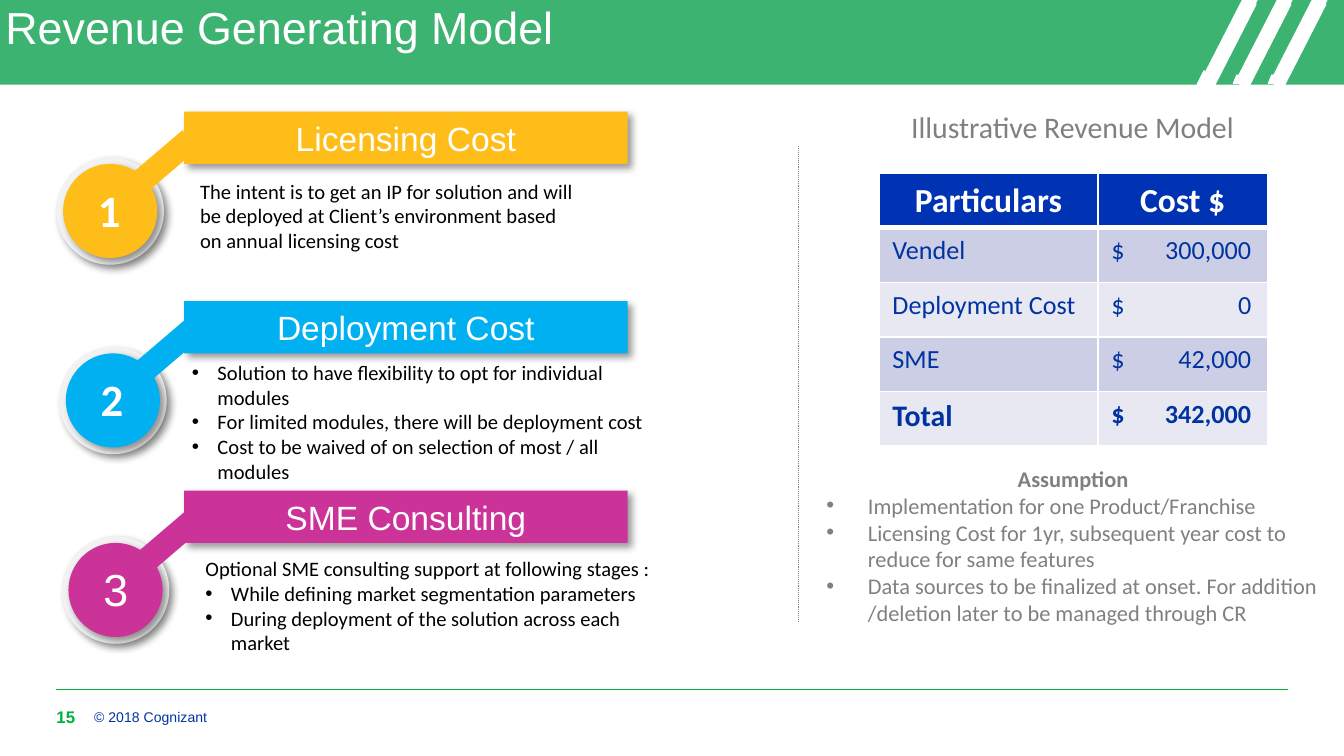
from lxml import etree
from pptx import Presentation
from pptx.dml.color import RGBColor
from pptx.enum.dml import MSO_LINE
from pptx.enum.shapes import MSO_CONNECTOR, MSO_SHAPE as SHAPE
from pptx.enum.text import MSO_ANCHOR as ANCHOR, PP_ALIGN as ALIGN
from pptx.oxml import parse_xml
from pptx.oxml.ns import nsdecls, qn
from pptx.util import Pt

PX = 9144  # 100 px to the inch
COLORS = {
    "white": "FFFFFF", "black": "000000", "grey": "808080", "ring": "F2F2F2",
    "header": "3CB371", "green": "00B140", "navy": "0033A0", "table": "0033B4",
    "band": "CCCEE5", "pale": "E7E8F2",
    "amber": "FFBD19", "sky": "00B0F0", "magenta": "CC3399",
}


def rgb(name):
    return RGBColor.from_string(COLORS[name])


def emu(*lengths):
    return [length * PX for length in lengths]


def style(paragraph, size, color, font="Calibri", bold=False, align=ALIGN.LEFT):
    paragraph.alignment = align
    for run in paragraph.runs:
        run.font.name, run.font.size, run.font.bold = font, Pt(size), bold
        run.font.color.rgb = rgb(color)


def add_bullet(paragraph, indent):
    props = paragraph._p.get_or_add_pPr()
    props.set("marL", str(indent * PX))
    props.set("indent", str(-indent * PX))
    etree.SubElement(props, qn("a:buFont")).set("typeface", "Arial")
    etree.SubElement(props, qn("a:buChar")).set("char", "•")


def add_block(slide, box, kind, color, line=None, turn=0, shadow=False):
    block = slide.shapes.add_shape(kind, *emu(*box))
    block.rotation = turn
    block.fill.solid()
    block.fill.fore_color.rgb = rgb(color)
    block.shadow.inherit = False
    if line:
        block.line.color.rgb, block.line.width = rgb(line), Pt(1)
    else:
        block.line.fill.background()
    if shadow:
        effects = block._element.spPr.find(qn("a:effectLst"))
        effects.append(parse_xml(
            f'<a:outerShdw {nsdecls("a")} blurRad="50800" dist="38100" dir="2700000" '
            'algn="tl" rotWithShape="0"><a:srgbClr val="000000">'
            '<a:alpha val="40000"/></a:srgbClr></a:outerShdw>'))
    return block


def add_text(slide, box, lines, size, color, bullet=0, first_bullet=0,
             inset=True, anchor=ANCHOR.TOP, **look):
    frame = slide.shapes.add_textbox(*emu(*box)).text_frame
    frame.word_wrap, frame.vertical_anchor = True, anchor
    if not inset:
        frame.margin_left = frame.margin_right = 0
        frame.margin_top = frame.margin_bottom = 0
    frame.text = "\n".join(lines)
    for i, paragraph in enumerate(frame.paragraphs):
        if bullet and i >= first_bullet:
            add_bullet(paragraph, bullet)
        style(paragraph, size, color, **look)
    return frame


def add_rule(slide, start, end, color, dash=None):
    rule = slide.shapes.add_connector(MSO_CONNECTOR.STRAIGHT, *emu(*start, *end))
    rule.line.color.rgb, rule.line.width = rgb(color), Pt(0.5)
    if dash:
        rule.line.dash_style = dash
    etree.SubElement(rule._element.spPr, qn("a:effectLst"))


def header(slide, box):
    x, y, width, height = box
    add_block(slide, box, SHAPE.RECTANGLE, "header")
    # Slanted stripes with their pointed ends
    for i in range(3):
        stripe = x + width - 91 + 26 * i
        foot = (stripe - 18, y + 53, 10, 10) if i == 0 else (stripe - 17, y + 56, 5, 6)
        for part, kind, turn in (
                ((stripe, y - 3, 10, 70), SHAPE.RECTANGLE, 27.1),
                ((stripe + 17, y - 2, 10, 10), SHAPE.ISOSCELES_TRIANGLE, 180),
                (foot, SHAPE.ISOSCELES_TRIANGLE, 0)):
            add_block(slide, part, kind, "white", "white", turn)
    title = add_text(slide, (x + 4, y + 4, 917, 59), ["Revenue Generating Model"],
                     24, "white", inset=False, font="Arial")
    title.paragraphs[0].line_spacing = 0.9


def footer(slide, box):
    x, y, width, _ = box
    add_rule(slide, (x, y), (x + width, y), "green")
    look = dict(inset=False, anchor=ANCHOR.MIDDLE, font="Arial")
    add_text(slide, (x + 28, y + 12, 500, 17), ["© 2018 Cognizant"], 7.5, "navy", **look)
    add_text(slide, (x, y + 12, 25, 17), ["15"], 9, "green", bold=True, **look)


def cost_step(slide, box, number, heading, color, lines, body, first_bullet, font):
    """A banner joined to a numbered disc; body is relative to the box."""
    x, y, width, height = box
    disc_x = x - 97 + 2 * number
    # Banner
    banner = add_block(slide, box, SHAPE.RECTANGLE, color, shadow=True).text_frame
    banner.vertical_anchor = ANCHOR.MIDDLE
    banner.text = heading
    style(banner.paragraphs[0], 18, "white", "Arial", align=ALIGN.CENTER)
    # Numbered disc and the arm that joins it to the banner
    add_block(slide, (disc_x, y + 34, 80, 80), SHAPE.OVAL, "ring", shadow=True)
    add_block(slide, (disc_x + 5, y + 39, 70, 70), SHAPE.OVAL, color, shadow=True)
    add_text(slide, (disc_x + 21, y + 48, 39, 50), [str(number)], 24, "white",
             font=font, bold=font == "Calibri")
    add_block(slide, (disc_x + 39, y + 34, 69, 18), SHAPE.PARALLELOGRAM, color, turn=319.5)
    # Description
    dx, dy, body_width, body_height = body
    add_text(slide, (x + dx, y + dy, body_width, body_height), lines, 11, "black",
             bullet=19, first_bullet=first_bullet)


def set_borders(cell, bottom):
    props = cell._tc.get_or_add_tcPr()
    for side, width in (("L", 1), ("R", 1), ("T", 1), ("B", bottom)):
        props.append(parse_xml(
            f'<a:ln{side} {nsdecls("a")} w="{Pt(width)}"><a:solidFill>'
            f'<a:srgbClr val="{COLORS["white"]}"/></a:solidFill></a:ln{side}>'))


def add_right_tab(paragraph, position):
    tabs = etree.SubElement(paragraph._p.get_or_add_pPr(), qn("a:tabLst"))
    etree.SubElement(tabs, qn("a:tab"), pos=str(position * PX), algn="r")


def cost_table(slide, box, rows):
    table = slide.shapes.add_table(len(rows), 2, *emu(*box)).table
    table.columns[0].width, table.columns[1].width = emu(163, box[2] - 163)
    for r, row in enumerate(rows):
        is_head, is_total = r == 0, r == len(rows) - 1
        for c, value in enumerate(row):
            cell = table.cell(r, c)
            set_borders(cell, 3 if is_head else 1)
            cell.fill.solid()
            cell.fill.fore_color.rgb = rgb("table" if is_head else "band" if r % 2 else "pale")
            paragraph = cell.text_frame.paragraphs[0]
            if is_head:
                paragraph.text = value
                style(paragraph, 18, "white", bold=True, align=ALIGN.CENTER)
                continue
            paragraph.text = f"$\t{value:,}" if c else value
            if c:
                add_right_tab(paragraph, 104)
            style(paragraph, 16 if is_total and c == 0 else 14, "navy", bold=is_total)


def revenue_model(slide, box):
    x, y, width, height = box
    add_rule(slide, (x, y + 33), (x, y + height), "grey", MSO_LINE.ROUND_DOT)
    add_text(slide, (x + 70, y, 268, 37), ["Illustrative Revenue Model"], 16, "grey",
             align=ALIGN.CENTER)
    cost_table(slide, (x + 60, y + 53, 289, 203), [
        ("Particulars", "Cost $"), ("Vendel", 300000), ("Deployment Cost", 0),
        ("SME", 42000), ("Total", 342000)])
    # Assumptions
    notes = add_text(slide, (x + 11, y + 265, 387, 131), [
        "Assumption",
        "Implementation for one Product/Franchise",
        "Licensing Cost for 1yr, subsequent year cost to reduce for same features",
        "Data sources to be finalized at onset. For addition /deletion later to be "
        "managed through CR"], 12, "grey", bullet=31, first_bullet=1)
    style(notes.paragraphs[0], 12, "grey", bold=True, align=ALIGN.CENTER)


STEPS = [
    ("Licensing Cost", "amber",
     ["The intent is to get an IP for solution and will be deployed at Client’s "
      "environment based on annual licensing cost"], (2, 45, 301, 66), 1, "Calibri"),
    ("Deployment Cost", "sky",
     ["Solution to have flexibility to opt for individual modules",
      "For limited modules, there will be deployment cost",
      "Cost to be waived of on selection of most / all modules"],
     (-4, 39, 357, 103), 0, "Calibri"),
    ("SME Consulting", "magenta",
     ["Optional SME consulting support at following stages :",
      "While defining market segmentation parameters",
      "During deployment of the solution across each market"],
     (6, 44, 359, 84), 1, "Arial"),
]


def main():
    deck = Presentation()
    deck.slide_width = 1000 * PX
    deck.slide_height = deck.slide_width * 9 // 16
    slide = deck.slides.add_slide(deck.slide_layouts[6])
    header(slide, (0, 0, 1000, 63))
    footer(slide, (42, 513, 916, 29))
    revenue_model(slide, (594, 76, 398, 387))
    for i, step in enumerate(STEPS):
        cost_step(slide, (137, 83 + 141 * i, 330, 39), i + 1, *step)
    deck.save("out.pptx")


if __name__ == "__main__":
    main()
